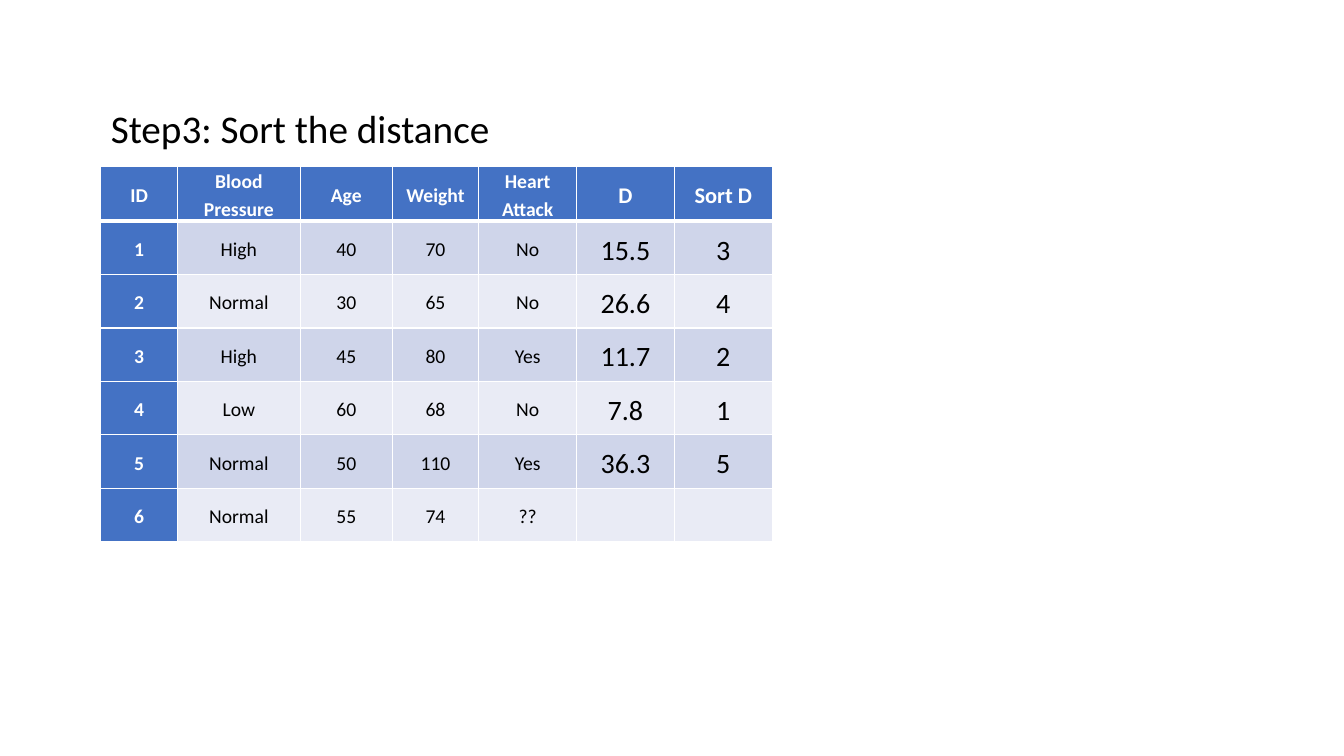
import pptx
import pptx.dml.color
import pptx.enum.text
import pptx.oxml
import pptx.oxml.ns
import pptx.util
from pptx.util import Inches

RGBColor = pptx.dml.color.RGBColor
WHITE = RGBColor(0xFF, 0xFF, 0xFF)
BLACK = RGBColor(0x00, 0x00, 0x00)
HEADER_BLUE = RGBColor(0x44, 0x72, 0xC4)
BAND_DARK = RGBColor(0xCF, 0xD5, 0xEA)
BAND_LIGHT = RGBColor(0xE9, 0xEB, 0xF5)

FONT = "Calibri"
COLUMN_WIDTHS = [0.76, 1.22, 0.91, 0.86, 0.97, 0.97, 0.97]
ROW_HEIGHT = 0.53
FIRST_DISTANCE_COLUMN = 5
PATIENTS = [
    ["ID", "Blood Pressure", "Age", "Weight", "Heart Attack", "D", "Sort D"],
    ["1", "High", "40", "70", "No", "15.5", "3"],
    ["2", "Normal", "30", "65", "No", "26.6", "4"],
    ["3", "High", "45", "80", "Yes", "11.7", "2"],
    ["4", "Low", "60", "68", "No", "7.8", "1"],
    ["5", "Normal", "50", "110", "Yes", "36.3", "5"],
    ["6", "Normal", "55", "74", "??", "", ""],
]


def write_text(text_frame, text, size, color=BLACK, bold=False,
               align=pptx.enum.text.PP_ALIGN.LEFT, space_after=0):
    paragraph = text_frame.paragraphs[0]
    paragraph.alignment = align
    paragraph.line_spacing = 1.15
    paragraph.space_after = pptx.util.Pt(space_after)
    if not text:
        return
    run = paragraph.add_run()
    run.text = text
    run.font.name = FONT
    run.font.size = pptx.util.Pt(size)
    run.font.bold = bold
    run.font.color.rgb = color


def set_borders(cell, top, bottom):
    """Draw white borders; the side borders are 1 point wide."""
    properties = cell._tc.get_or_add_tcPr()
    for side, width in (("L", 1), ("R", 1), ("T", top), ("B", bottom)):
        properties.append(pptx.oxml.parse_xml(
            f'<a:ln{side} {pptx.oxml.ns.nsdecls("a")} w="{pptx.util.Pt(width)}">'
            f'<a:solidFill><a:srgbClr val="{WHITE}"/></a:solidFill></a:ln{side}>'))


def format_cell(cell, text, row, column):
    is_heading = row == 0 or column == 0
    if is_heading:
        fill = HEADER_BLUE
    else:
        fill = BAND_DARK if row % 2 else BAND_LIGHT
    size = 14
    if column >= FIRST_DISTANCE_COLUMN:
        size = 16 if row == 0 else 20

    set_borders(cell, top=3 if row == 1 else 1, bottom=3 if row == 0 else 1)
    cell.fill.solid()
    cell.fill.fore_color.rgb = fill
    cell.vertical_anchor = pptx.enum.text.MSO_ANCHOR.MIDDLE
    cell.margin_left = cell.margin_right = Inches(0.07)
    cell.margin_top = cell.margin_bottom = 0
    write_text(cell.text_frame, text, size, bold=is_heading,
               color=WHITE if is_heading else BLACK,
               align=pptx.enum.text.PP_ALIGN.CENTER)


def add_patient_table(slide, left, top):
    table = slide.shapes.add_table(
        len(PATIENTS), len(COLUMN_WIDTHS), Inches(left), Inches(top),
        Inches(sum(COLUMN_WIDTHS)), Inches(ROW_HEIGHT * len(PATIENTS))).table
    table.first_col = True
    for column, width in zip(table.columns, COLUMN_WIDTHS):
        column.width = Inches(width)
    for row, values in enumerate(PATIENTS):
        table.rows[row].height = Inches(ROW_HEIGHT)
        for column, text in enumerate(values):
            format_cell(table.cell(row, column), text, row, column)


def add_step_title(slide, text, left, top, width, height):
    box = slide.shapes.add_textbox(
        Inches(left), Inches(top), Inches(width), Inches(height))
    box.text_frame.word_wrap = False
    box.text_frame.auto_size = pptx.enum.text.MSO_AUTO_SIZE.SHAPE_TO_FIT_TEXT
    write_text(box.text_frame, text, 28, space_after=10)


def main():
    presentation = pptx.Presentation()
    presentation.slide_width = Inches(13.33)
    presentation.slide_height = Inches(7.5)
    slide = presentation.slides.add_slide(presentation.slide_layouts[6])
    add_patient_table(slide, 1, 1.65)
    add_step_title(slide, "Step3: Sort the distance", 1, 0.92, 4.09, 0.61)
    presentation.save("out.pptx")


if __name__ == "__main__":
    main()
